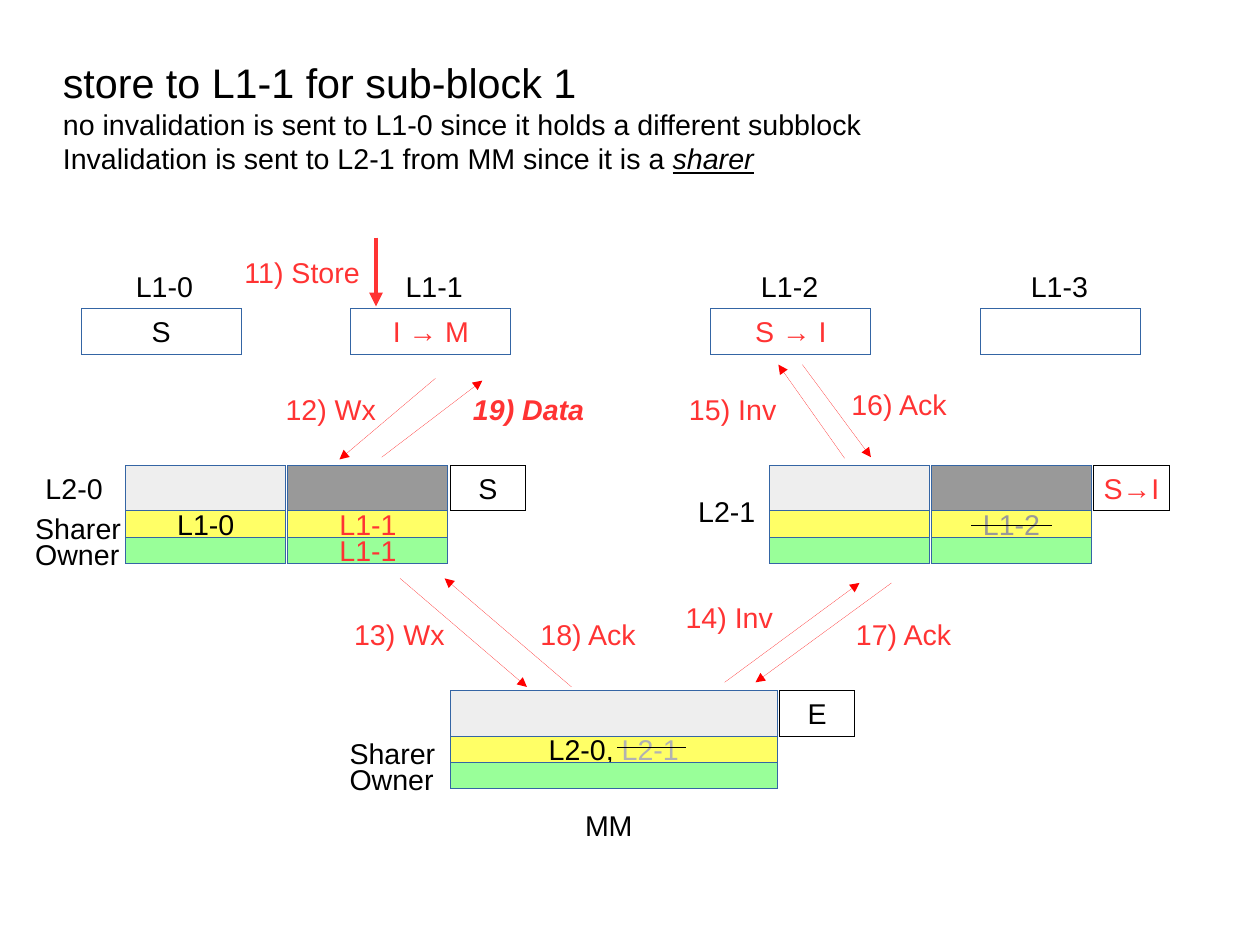
from pptx import Presentation
from pptx.dml.color import RGBColor
from pptx.enum.shapes import MSO_CONNECTOR, MSO_SHAPE
from pptx.enum.text import MSO_ANCHOR, MSO_AUTO_SIZE, PP_ALIGN
from pptx.oxml.ns import qn
from pptx.util import Cm, Inches, Pt
from lxml.etree import SubElement

HUES = {
    "black": "000000", "white": "FFFFFF", "red": "FF3333", "arrow": "FF0000",
    "edge": "3465A4", "light": "EEEEEE", "dark": "999999", "faded": "B2B2B2",
    "yellow": "FFFF66", "green": "99FF99",
}
GAP, TALL, SLIM = 0.02, 0.4, 0.23
WIDE, LABEL = 1.4, 0.38
HAIR = 0.01

# Columns of a bank: shade, runs for the sharers, runs for the owner
LEFT = [("light", [("L1-0", "black")], []),
        ("dark", [("L1-1", "red")], [("L1-1", "red")])]
RIGHT = [("light", [], []), ("dark", [("L1-2", "dark")], [])]
MEMORY = [("light", [("L2-0, ", "black"), ("L2-1", "faded")], [])]

NOTES = [
    ("11) Store", 2.04, 2.18, 1.26), ("12) Wx", 2.4, 3.38, 1.06),
    ("13) Wx", 3, 5.35, 1.06), ("14) Inv", 5.9, 5.2, 1.1),
    ("15) Inv", 5.93, 3.38, 1.06), ("16) Ack", 7.35, 3.34, 1.22),
    ("17) Ack", 7.39, 5.35, 1.22), ("18) Ack", 4.63, 5.35, 1.22),
]
ARROWS = [
    (7.8, 5.1, 6.61, 5.97), (6.34, 5.97, 7.52, 5.1),
    (3.81, 3.31, 2.97, 4.02), (3.34, 4, 4.22, 3.33),
    (3.5, 5.06, 4.61, 6.01), (5, 6.01, 3.89, 5.06),
    (7.39, 4.01, 6.81, 3.19), (7.02, 3.19, 7.62, 4),
]
STRIKES = [(8.5, 4.6, 9.2, 4.6), (6, 6.54, 5.4, 6.54)]


def color(name):
    return RGBColor.from_string(HUES[name])


def write(para, text, hue="black", **style):
    run = para.add_run()
    run.text = text
    run.font.color.rgb = color(hue)
    for key, value in {"name": "Arial", "size": Pt(18), **style}.items():
        setattr(run.font, key, value)


def rect(slide, box, fill, runs=(), edge="edge"):
    shape = slide.shapes.add_shape(MSO_SHAPE.RECTANGLE, *map(Inches, box))
    shape.shadow.inherit = False
    shape.fill.solid()
    shape.fill.fore_color.rgb = color(fill)
    shape.line.color.rgb = color(edge)
    shape.line.width = Pt(HAIR)
    frame = shape.text_frame
    frame.word_wrap = False
    frame.vertical_anchor = MSO_ANCHOR.MIDDLE
    para = frame.paragraphs[0]
    para.alignment = PP_ALIGN.CENTER
    for text, hue in runs:
        write(para, text, hue)


def label(slide, text, x, y, wide=0.9, hue="black", **style):
    frame = slide.shapes.add_textbox(
        *map(Inches, (x, y, wide, LABEL))).text_frame
    frame.word_wrap = True
    write(frame.paragraphs[0], text, hue, **style)


def line(slide, ends, hue, width=HAIR, head=True):
    link = slide.shapes.add_connector(
        MSO_CONNECTOR.STRAIGHT, *map(Inches, ends))
    link.line.color.rgb = color(hue)
    link.line.width = Pt(width)
    if head:
        SubElement(link.line._get_or_add_ln(), qn("a:tailEnd"), type="triangle")
    SubElement(link._element.spPr, qn("a:effectLst"))


def heading(slide, box):
    title = slide.shapes.title
    for side, value in zip(("left", "top", "width", "height"), box):
        setattr(title, side, Inches(value))
    frame = title.text_frame
    form = {"margin_left": 0, "margin_right": 0, "margin_top": 0,
            "margin_bottom": 0, "word_wrap": True,
            "auto_size": MSO_AUTO_SIZE.NONE,
            "vertical_anchor": MSO_ANCHOR.MIDDLE}
    for key, value in form.items():
        setattr(frame, key, value)
    para = frame.paragraphs[0]
    para.alignment = PP_ALIGN.LEFT
    write(para, "store to L1-1 for sub-block 1", size=Pt(26))
    para.add_line_break()
    write(para, "no invalidation is sent to L1-0 since it holds a different subblock")
    para.add_line_break()
    write(para, "Invalidation is sent to L2-1 from MM since it is a ")
    write(para, "sharer", italic=True, underline=True)


def cache(slide, x, y, name, runs, inset):
    rect(slide, (x, y, WIDE, TALL), "white", runs)
    label(slide, name, x + inset, y - 0.4)


def bank(slide, x, y, wide, columns, state):
    """Draw data, sharer and owner rows, with the state box at their right."""
    for i, (shade, sharer, owner) in enumerate(columns):
        left = x + i * (wide + GAP)
        rect(slide, (left, y, wide, TALL), shade)
        rect(slide, (left, y + TALL, wide, SLIM), "yellow", sharer)
        rect(slide, (left, y + TALL + SLIM, wide, SLIM), "green", owner)
    right = x + len(columns) * (wide + GAP)
    rect(slide, (right, y, 0.66, TALL), "white", [state], "black")


def tags(slide, x, y):
    for i, name in enumerate(("Sharer", "Owner")):
        label(slide, name, x, y + i * SLIM, 1)


def flow(slide):
    """Draw the numbered messages and their arrows."""
    line(slide, (3.29, 2.08, 3.29, 2.68), "red", 2.89)
    for ends in ARROWS:
        line(slide, ends, "arrow")
    for ends in STRIKES:
        line(slide, ends, "black", head=False)
    for text, x, y, wide in NOTES:
        label(slide, text, x, y, wide, "red")
    label(slide, "19) Data", 4.04, 3.38, 1.26, "red", bold=True, italic=True)


def main():
    deck = Presentation()
    deck.slide_width, deck.slide_height = Cm(28), Cm(21)
    slide = deck.slides.add_slide(deck.slide_layouts[5])
    heading(slide, (0.55, 0.33, 9.92, 1.38))
    cache(slide, 0.71, 2.7, "L1-0", [("S", "black")], 0.38)
    cache(slide, 3.07, 2.7, "L1-1", [("I → M", "red")], 0.38)
    cache(slide, 6.22, 2.7, "L1-2", [("S → I", "red")], 0.34)
    cache(slide, 8.58, 2.7, "L1-3", [], 0.34)
    bank(slide, 1.1, 4.07, WIDE, LEFT, ("S", "black"))
    bank(slide, 6.73, 4.07, WIDE, RIGHT, ("S→I", "red"))
    bank(slide, 3.94, 6.04, 2.86, MEMORY, ("E", "black"))
    label(slide, "L2-0", 0.3, 4.07)
    label(slide, "L2-1", 6.01, 4.27)
    label(slide, "MM", 5.02, 7.02)
    tags(slide, 0.21, 4.42)
    tags(slide, 2.96, 6.39)
    flow(slide)
    deck.save("out.pptx")


if __name__ == "__main__":
    main()
